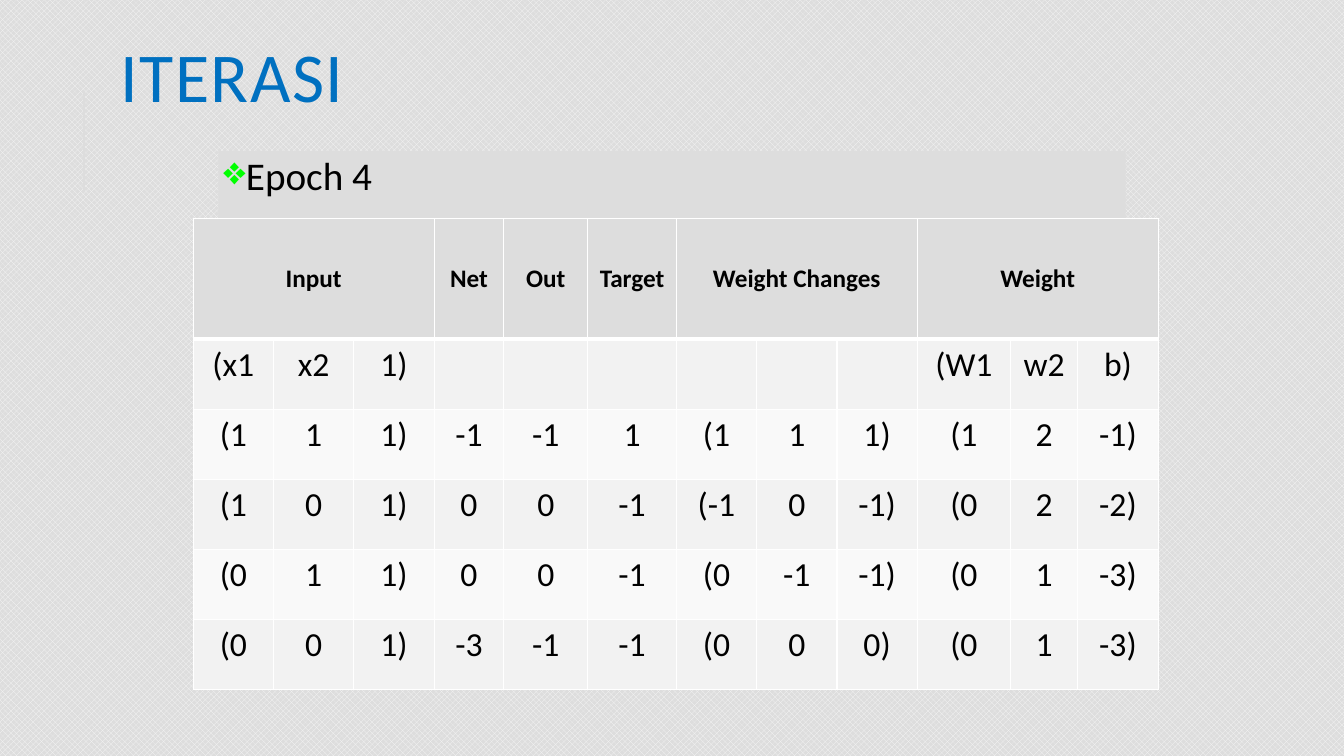
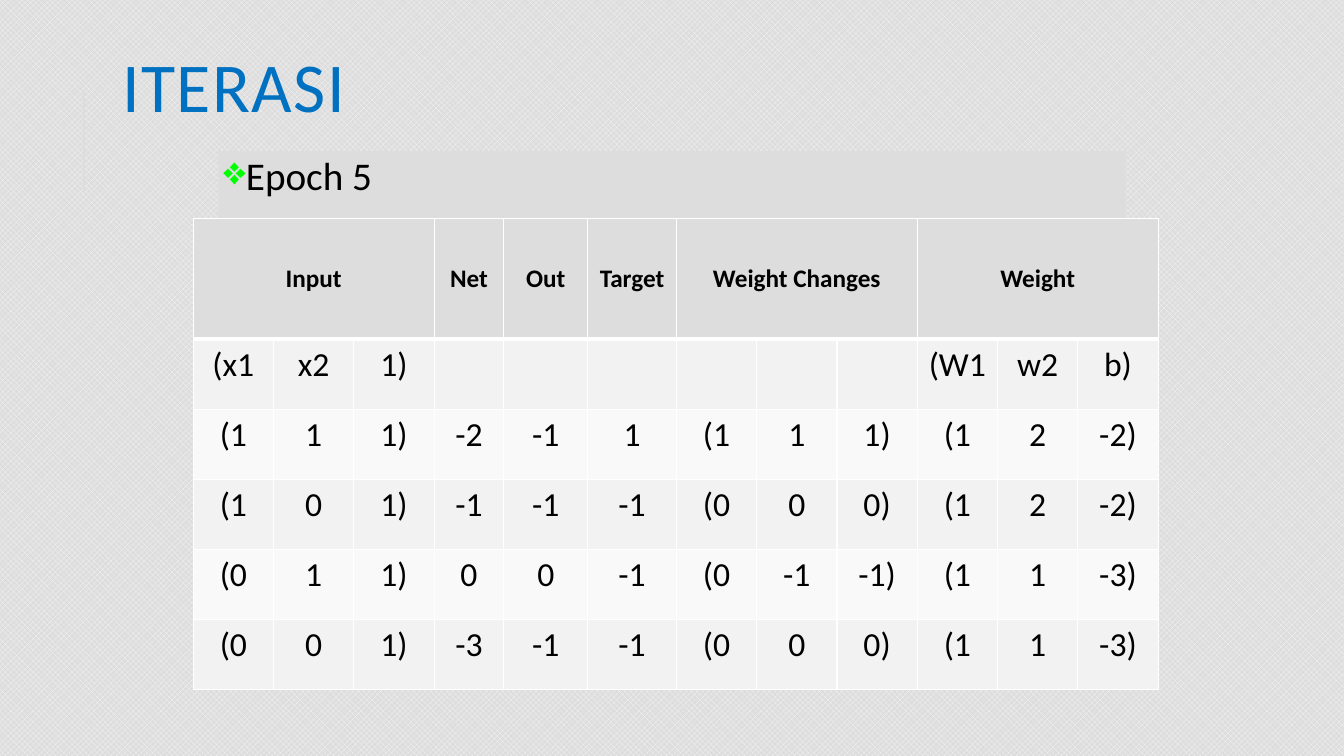
import pptx
import pptx.dml.color
import pptx.enum.dml
import pptx.enum.shapes
import pptx.enum.text
import pptx.oxml
import pptx.oxml.ns
import pptx.util
from lxml import etree

COLS, ROWS = 80, 45
WIDE, HIGH = pptx.util.Inches(13.33), pptx.util.Inches(7.5)
ALIGN = pptx.enum.text.PP_ALIGN
ANCHOR = pptx.enum.text.MSO_ANCHOR
HEADS = {0: ("Input", 3), 3: ("Net", 1), 4: ("Out", 1), 5: ("Target", 1),
         6: ("Weight Changes", 3), 9: ("Weight", 3)}
LABELS = ["(x1", "x2", "1)"] + [""] * 6 + ["(W1", "w2", "b)"]
THIRD = 4.78
LEAD = [THIRD] * 3 + [4.15, 5, 5.27] + [THIRD] * 3
EPOCHS = [
    {"name": "Epoch 4", "title": (6.6, 0), "last": [5.56, 4, THIRD], "rows": [
        "(1 1 1) -1 -1 1 (1 1 1) (1 2 -1)",
        "(1 0 1) 0 0 -1 (-1 0 -1) (0 2 -2)",
        "(0 1 1) 0 0 -1 (0 -1 -1) (0 1 -3)",
        "(0 0 1) -3 -1 -1 (0 0 0) (0 1 -3)"]},
    {"name": "Epoch 5", "title": (6.7, 0.6), "last": [THIRD] * 3, "rows": [
        "(1 1 1) -2 -1 1 (1 1 1) (1 2 -2)",
        "(1 0 1) -1 -1 -1 (0 0 0) (1 2 -2)",
        "(0 1 1) 0 0 -1 (0 -1 -1) (1 1 -3)",
        "(0 0 1) -3 -1 -1 (0 0 0) (1 1 -3)"]},
]


def hue(code):
    return pptx.dml.color.RGBColor.from_string(code)


def node(parent, tag, **attrs):
    return etree.SubElement(parent, pptx.oxml.ns.qn(tag), attrs)


def put(frame, text, size=24, color="000000", bold=False, align=ALIGN.LEFT,
        lead=None, before=None, after=None, track=None, mark=None):
    para = frame.paragraphs[0]
    para.alignment, para.line_spacing = align, lead
    if before is not None:
        para.space_before = pptx.util.Pt(before)
    if after is not None:
        para.space_after = pptx.util.Pt(after)
    if mark:
        sign, tint = mark
        props = para._p.get_or_add_pPr()
        dent = pptx.util.Inches(0.1)
        props.set("marL", str(dent))
        props.set("indent", str(-dent))
        node(node(props, "a:buClr"), "a:srgbClr", val=tint)
        node(props, "a:buChar", char=sign)
    run = para.add_run()
    run.text = text
    font = run.font
    font.name, font.size, font.bold = "Calibri", pptx.util.Pt(size), bold
    font.color.rgb = hue(color)
    if track:
        run._r.get_or_add_rPr().set("spc", str(track * 100))


class Deck:
    """Hold the shared style and the current slide, and draw on an 80 by 45 grid."""

    gray, white, blue, green = "DDDDDD", "FFFFFF", "0070C0", "00FF00"
    bands = ("F2F2F2", "F9F9F9")

    def __init__(self):
        self.file = pptx.Presentation()
        self.file.slide_width, self.file.slide_height = WIDE, HIGH
        self.slide = None

    def across(self, count):
        return round(WIDE * count / COLS)

    def down(self, count):
        return round(HIGH * count / ROWS)

    def box(self, left, top, width, height):
        return (self.across(left), self.down(top),
                self.across(width), self.down(height))

    def page(self):
        self.slide = self.file.slides.add_slide(self.file.slide_layouts[6])
        fill = self.slide.background.fill
        fill.patterned()
        fill.pattern = pptx.enum.dml.MSO_PATTERN.SOLID_DIAMOND
        fill.fore_color.rgb, fill.back_color.rgb = hue("F8F8F8"), hue(self.gray)
        self.rule(5, 11.4, 5, 5.4)

    def rule(self, left, top, right, end):
        line = self.slide.shapes.add_connector(
            pptx.enum.shapes.MSO_CONNECTOR.STRAIGHT, self.across(left),
            self.down(top), self.across(right), self.down(end))
        line.line.color.rgb = hue(self.gray)
        line.line.width = pptx.util.Pt(1.5)
        node(line._element.spPr, "a:effectLst")

    def title(self, text, left, top):
        shape = self.slide.shapes.add_textbox(*self.box(left, top, 63.8, 9.84))
        frame = shape.text_frame
        frame.word_wrap, frame.vertical_anchor = True, ANCHOR.MIDDLE
        put(frame, text, size=50, color=self.blue, lead=0.8, track=1)

    def panel(self, text):
        shape = self.slide.shapes.add_shape(
            pptx.enum.shapes.MSO_SHAPE.RECTANGLE, *self.box(13, 9, 54, 31.2))
        shape.shadow.inherit = False
        shape.fill.solid()
        shape.fill.fore_color.rgb = hue(self.gray)
        shape.line.fill.background()
        frame = shape.text_frame
        frame.word_wrap, frame.vertical_anchor = True, ANCHOR.TOP
        frame.margin_left = frame.margin_right = pptx.util.Inches(0.05)
        frame.margin_top = frame.margin_bottom = pptx.util.Inches(0.05)
        put(frame, text, size=28, lead=0.9, before=12, after=2,
            mark=("❖", self.green))

    def paint(self, cell, fill, top=1, base=1):
        props = cell._tc.get_or_add_tcPr()
        for side, width in zip("LRTB", (1, 1, top, base)):
            line = node(props, "a:ln" + side, w=str(pptx.util.Pt(width)))
            node(node(line, "a:solidFill"), "a:srgbClr", val=self.white)
        cell.fill.solid()
        cell.fill.fore_color.rgb = hue(fill)

    def table(self, widths, rows):
        heights = [7.2] + [4.17] * len(rows)
        grid = self.slide.shapes.add_table(
            len(heights), len(widths),
            *self.box(11.5, 13, sum(widths), sum(heights))).table
        for col, width in zip(grid.columns, widths):
            col.width = self.across(width)
        for row, height in zip(grid.rows, heights):
            row.height = self.down(height)
        for col in range(len(widths)):
            self.paint(grid.cell(0, col), self.gray, base=3)
        for col, (text, span) in HEADS.items():
            cell = grid.cell(0, col)
            if span > 1:
                cell.merge(grid.cell(0, col + span - 1))
            cell.vertical_anchor = ANCHOR.MIDDLE
            put(cell.text_frame, text, size=18, bold=True, align=ALIGN.CENTER)
        for at, texts in enumerate(rows):
            for col, text in enumerate(texts):
                cell = grid.cell(at + 1, col)
                self.paint(cell, self.bands[at % 2], top=1 if at else 3)
                if text:
                    put(cell.text_frame, text, align=ALIGN.CENTER)


def main():
    deck = Deck()
    for epoch in EPOCHS:
        deck.page()
        deck.title("ITERASI", *epoch["title"])
        deck.panel(epoch["name"])
        deck.table(LEAD + epoch["last"],
                   [LABELS] + [row.split() for row in epoch["rows"]])
    deck.file.save("out.pptx")


if __name__ == "__main__":
    main()
